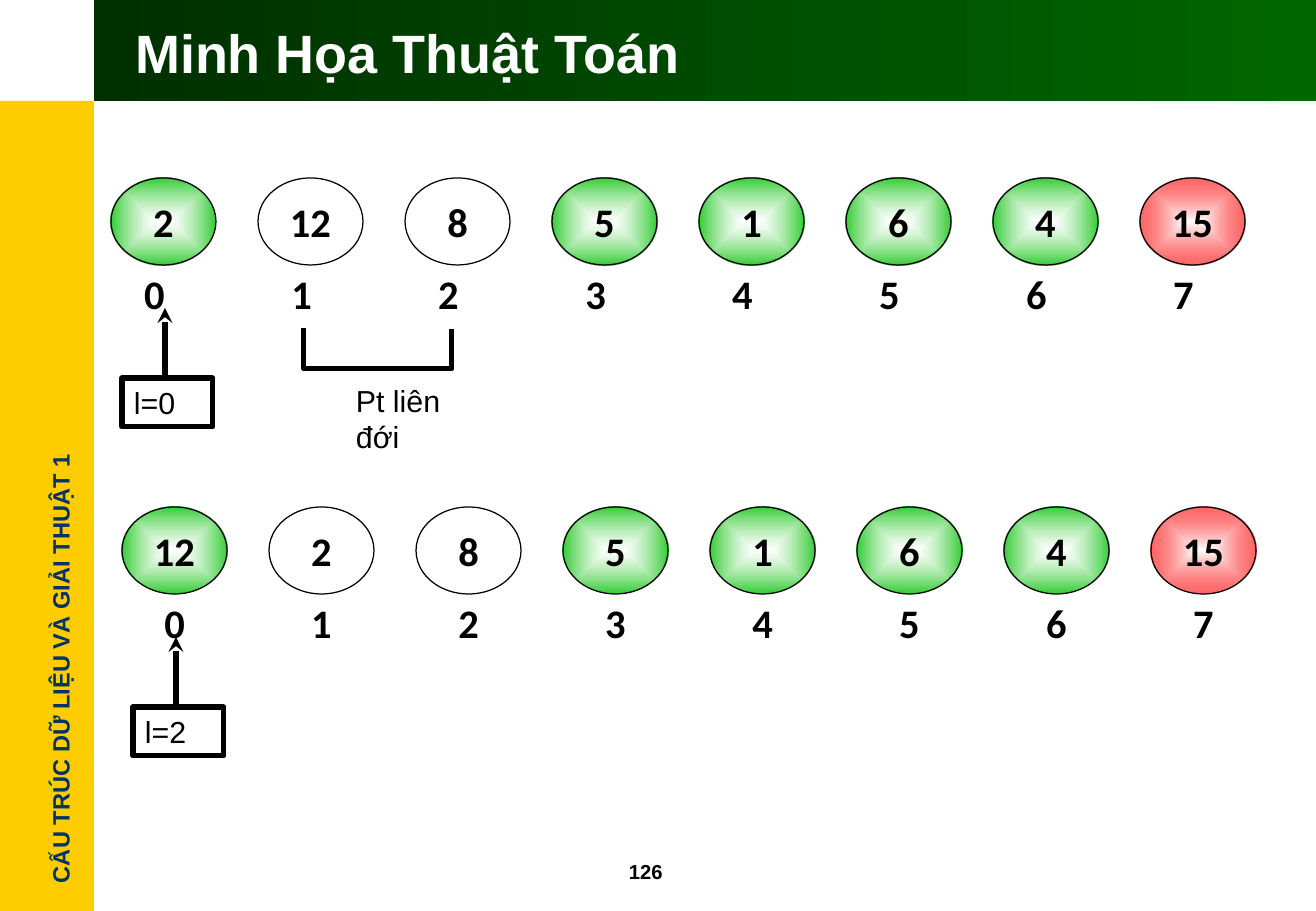
"""Build the slide that illustrates heap adjustment on an eight-element array."""
import pptx
import pptx.dml.color
import pptx.enum.shapes
import pptx.enum.text
import pptx.oxml
import pptx.oxml.ns
import pptx.util

RGBColor = pptx.dml.color.RGBColor
SHAPE = pptx.enum.shapes.MSO_SHAPE
ALIGN = pptx.enum.text.PP_ALIGN
ANCHOR = pptx.enum.text.MSO_ANCHOR

BLACK = RGBColor(0x00, 0x00, 0x00)
WHITE = RGBColor(0xFF, 0xFF, 0xFF)
GREEN = RGBColor(0x33, 0xCC, 0x33)
RED = RGBColor(0xFF, 0x00, 0x00)
YELLOW = RGBColor(0xFF, 0xCC, 0x00)
NAVY = RGBColor(0x00, 0x33, 0x66)
DARK_GREEN = RGBColor(0x00, 0x2F, 0x00)
MID_GREEN = RGBColor(0x00, 0x66, 0x00)

EMU_PER_PX = 7532
PITCH = 147
NODE_WIDTH, NODE_HEIGHT = 105, 87


def px(*lengths):
    """Turn pixel lengths into EMU."""
    return [pptx.util.Emu(round(length * EMU_PER_PX)) for length in lengths]


def write(shape, text, size, color=BLACK, bold=False, font="Arial",
          align=ALIGN.LEFT, anchor=ANCHOR.TOP, wrap=True):
    """Put one formatted paragraph into a shape."""
    frame = shape.text_frame
    frame.text = text
    frame.word_wrap = wrap
    frame.auto_size = pptx.enum.text.MSO_AUTO_SIZE.NONE
    frame.vertical_anchor = anchor
    para = frame.paragraphs[0]
    para.alignment = align
    para.font.name = font
    para.font.size = pptx.util.Pt(size)
    para.font.bold = bold
    para.font.color.rgb = color


def add_plain(page, kind, box):
    """Add a shape without shadow, fill or line."""
    shape = page.shapes.add_shape(kind, *px(*box))
    shape.shadow.inherit = False
    shape.fill.background()
    shape.line.fill.background()
    return shape


def set_line(line, width):
    """Give a line its black colour and its width in points."""
    line.color.rgb = BLACK
    line.width = pptx.util.Pt(width)


def xml(tag, content=""):
    """Parse one DrawingML element."""
    return pptx.oxml.parse_xml(
        f'<a:{tag} {pptx.oxml.ns.nsdecls("a")}>{content}</a:{tag.split()[0]}>')


def fill_node(shape, color):
    """Fill a node with translucent white or a gradient from white to a colour."""
    namespace = pptx.oxml.ns.qn("a:srgbClr")
    if color == WHITE:
        shape.fill.solid()
        shape.fill.fore_color.rgb = WHITE
        translucent = 0
    else:
        shape.fill.gradient()
        for stop, stop_color in zip(shape.fill.gradient_stops, (WHITE, color)):
            stop.color.rgb = stop_color
        linear = next(shape.element.spPr.iter(pptx.oxml.ns.qn("a:lin")))
        linear.getparent().replace(linear, xml(
            'path path="rect"',
            '<a:fillToRect l="50000" t="50000" r="50000" b="50000"/>'))
        translucent = 1 if color == RED else 0
    colors = list(shape.element.spPr.iter(namespace))
    colors[translucent].append(xml('alpha val="60000"'))


def add_frame(page, width, height):
    """Draw the side band, the header band, the page number and the title."""
    side, top = 94, 101
    band = add_plain(page, SHAPE.RECTANGLE, (0, top, side, height - top))
    band.fill.solid()
    band.fill.fore_color.rgb = YELLOW

    course = page.shapes.add_textbox(*px(-166, 648, 453, 41))
    course.rotation = 270
    write(course, "CẤU TRÚC DỮ LIỆU VÀ GIẢI THUẬT 1", 14, NAVY, True, wrap=False)

    header = add_plain(page, SHAPE.RECTANGLE, (side, 0, width - side, top))
    header.fill.gradient()
    header.fill.gradient_angle = 0
    for stop, color in zip(header.fill.gradient_stops, (DARK_GREEN, MID_GREEN)):
        stop.color.rgb = color

    number = page.shapes.add_textbox(*px(617, 853, 101, 36))
    write(number, "126", 12, bold=True)

    title = page.shapes.title
    title.left, title.top, title.width, title.height = px(123, 11, 1167, 81)
    write(title, "Minh Họa Thuật Toán", 32, WHITE, True, anchor=ANCHOR.MIDDLE)
    header.element.getparent().append(title.element)


def add_pointer(page, left, top, text):
    """Draw the boxed index and its arrow up to the array."""
    box = add_plain(page, SHAPE.RECTANGLE, (left, top, 91, 49))
    set_line(box.line, 3)
    write(box, text, 18)
    arrow = page.shapes.add_connector(
        pptx.enum.shapes.MSO_CONNECTOR.STRAIGHT,
        *px(left + 43, top, left + 43, top - 70))
    set_line(arrow.line, 3)
    arrow.line._get_or_add_ln().append(xml('tailEnd type="stealth"'))
    arrow.element.spPr.append(xml("effectLst"))


def add_array(page, left, top, values, index_shift, pointer):
    """Draw a row of nodes, the indexes below them and the pointer."""
    colors = [GREEN, WHITE, WHITE, GREEN, GREEN, GREEN, GREEN, RED]
    for index, (value, color) in enumerate(zip(values, colors)):
        x = left + index * PITCH
        node = add_plain(page, SHAPE.OVAL, (x, top, NODE_WIDTH, NODE_HEIGHT))
        fill_node(node, color)
        set_line(node.line, 0.75)
        label = add_plain(page, SHAPE.OVAL,
                          (x + index_shift, top + 72, NODE_WIDTH, NODE_HEIGHT))
        for shape, number in ((node, value), (label, index)):
            write(shape, str(number), 24, bold=True, font="Calibri",
                  align=ALIGN.CENTER)
    add_pointer(page, left + 11, top + 200, pointer)


def add_bracket(page, left, top, width, height):
    """Draw the bracket joining two indexes and its caption."""
    builder = page.shapes.build_freeform(left, top, scale=EMU_PER_PX)
    builder.add_line_segments(
        [(left, top + height), (left + width, top + height),
         (left + width, top + 1)], close=False)
    bracket = builder.convert_to_shape()
    bracket.shadow.inherit = False
    bracket.fill.background()
    set_line(bracket.line, 3)
    caption = page.shapes.add_textbox(*px(left + 40, top + 48, 112, 85))
    write(caption, "Pt liên đới", 18)


def main():
    """Assemble the slide and save the deck."""
    width, height = 1316, 911
    deck = pptx.Presentation()
    deck.slide_width, deck.slide_height = px(width, height)
    page = deck.slides.add_slide(deck.slide_layouts[5])
    add_frame(page, width, height)
    add_array(page, 111, 178, [2, 12, 8, 5, 1, 6, 4, 15], -9, "l=0")
    add_bracket(page, 304, 328, 148, 41)
    add_array(page, 122, 507, [12, 2, 8, 5, 1, 6, 4, 15], 0, "l=2")
    deck.save("out.pptx")


if __name__ == "__main__":
    main()
